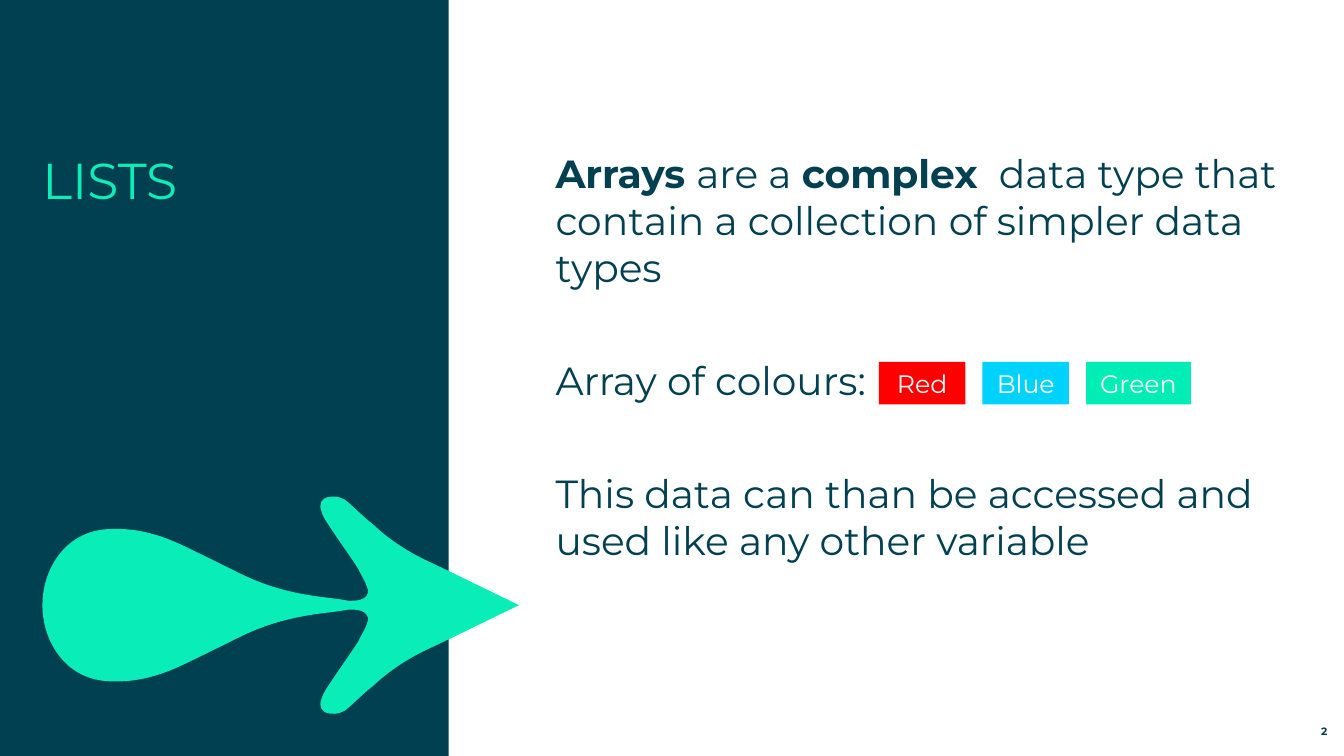
from dataclasses import dataclass
from pptx import Presentation, util as u
from pptx.dml.color import RGBColor as Rgb
from pptx.enum import shapes, text
from lxml import etree


@dataclass
class Theme:
    font: str = "Montserrat"
    dark: str = "004050"
    mint: str = "09EDB8"
    title: str = "0BEEB7"
    white: str = "FFFFFF"
    red: str = "FF0000"
    blue: str = "00D2FE"
    green: str = "00EDB5"
    head: float = 36
    body: float = 28
    tag: float = 18
    page: float = 7.6
    gap: float = 47


def paint(shape, color):
    shape.shadow.inherit = False
    shape.fill.solid()
    shape.fill.fore_color.rgb = Rgb.from_string(color)
    shape.line.fill.background()


def write(shape, lines, size, color, align, anchor):
    frame = shape.text_frame
    frame.word_wrap = True
    frame.auto_size = text.MSO_AUTO_SIZE.NONE
    frame.vertical_anchor = anchor
    frame.margin_left = frame.margin_right = 0
    frame.margin_top = frame.margin_bottom = 0
    for i, line in enumerate(lines):
        para = frame.add_paragraph() if i else frame.paragraphs[0]
        para.alignment = align
        para.space_before = u.Pt(0)
        for j, part in enumerate(line.split("*")):
            if part:
                run = para.add_run()
                run.text = part
                run.font.name = theme.font
                run.font.size = u.Pt(size)
                run.font.bold = j % 2 == 1
                run.font.color.rgb = Rgb.from_string(color)


theme = Theme()
left, mid, right = text.PP_ALIGN.LEFT, text.PP_ALIGN.CENTER, text.PP_ALIGN.RIGHT
top, center, base = text.MSO_ANCHOR.TOP, text.MSO_ANCHOR.MIDDLE, text.MSO_ANCHOR.BOTTOM
rect = shapes.MSO_SHAPE.RECTANGLE

deck = Presentation()
deck.slide_width, deck.slide_height = u.Cm(33.87), u.Cm(19.05)
slide = deck.slides.add_slide(deck.slide_layouts[1])
items = slide.shapes

panel = items.add_shape(rect, 0, 0, u.Cm(11.31), deck.slide_height)
paint(panel, theme.dark)

axis = 15.25
half = [
    (1.07, 0),
    (1.07, 0.39), (1.17, 0.77), (1.37, 1.1),
    (1.7, 1.64), (2.21, 1.92), (2.84, 1.92),
    (3.48, 1.94), (4.04, 1.77), (4.6, 1.51),
    (5.08, 1.28), (5.54, 1.05), (5.99, 0.83),
    (6.6, 0.52), (7.21, 0.34), (7.87, 0.24),
    (8.18, 0.19), (8.48, 0.17), (8.79, 0.11),
    (8.89, 0.11), (8.99, 0.11), (9.09, 0.14),
    (9.22, 0.17), (9.3, 0.29), (9.27, 0.39),
    (9.22, 0.6), (9.09, 0.77), (9.02, 0.93),
    (8.76, 1.33), (8.48, 1.71), (8.23, 2.1),
    (8.18, 2.17), (8.13, 2.27), (8.1, 2.37),
    (8.03, 2.55), (8.1, 2.71), (8.31, 2.73),
    (8.48, 2.76), (8.66, 2.71), (8.79, 2.58),
    (8.99, 2.4), (9.19, 2.2), (9.42, 2.02),
    (9.8, 1.66), (10.26, 1.36), (10.74, 1.13),
    (11.51, 0.77), (12.27, 0.39), (13.08, 0),
]
upper = [(u.Cm(x), u.Cm(axis - y)) for x, y in half]
lower = [(u.Cm(x), u.Cm(axis + y)) for x, y in half[-2::-1]]
pen = items.build_freeform(*upper[0])
pen.add_line_segments(upper[1:] + lower, close=True)
arrow = pen.convert_to_shape()
paint(arrow, theme.mint)

lines = arrow._element.xpath(".//a:lnTo")
for one, two, end in zip(lines[::3], lines[1::3], lines[2::3]):
    one.tag = one.tag.replace("lnTo", "cubicBezTo")
    for line in (two, end):
        one.append(line[0])
        line.getparent().remove(line)

tree = panel._element.getparent()
tree.insert(2, panel._element)
tree.insert(3, arrow._element)

title = items.title
title.left, title.top, title.width, title.height = map(u.Cm, (1.07, 3.76, 9.58, 7.65))
write(title, ["LISTS"], theme.head, theme.title, left, top)

body = slide.placeholders[1]
body.left, body.top, body.width, body.height = map(u.Cm, (14, 3.76, 18.8, 14.22))
write(body, [
    "*Arrays *are a *complex * data type that contain a collection of simpler data types",
    "Array of colours: ",
    "This data can than be accessed and used like any other variable",
], theme.body, theme.dark, left, top)
for para in body.text_frame.paragraphs:
    para.space_after = u.Pt(theme.gap)
    props = para._p.get_or_add_pPr()
    props.set("marL", "0")
    props.set("indent", "0")
    etree.SubElement(props, props.tag.replace("pPr", "buNone"))

page = items.add_textbox(*map(u.Cm, (31.27, 18.08, 2.18, 0.51)))
write(page, ["*2*"], theme.page, theme.dark, right, base)

x, gap = 22.15, 0.43
for name, color, width in [
    ("Red", theme.red, 2.18),
    ("Blue", theme.blue, 2.18),
    ("Green", theme.green, 2.64),
]:
    tag = items.add_shape(rect, u.Cm(x), u.Cm(9.12), u.Cm(width), u.Cm(1.07))
    paint(tag, color)
    write(tag, [name], theme.tag, theme.white, mid, center)
    x += width + gap

deck.save("out.pptx")
